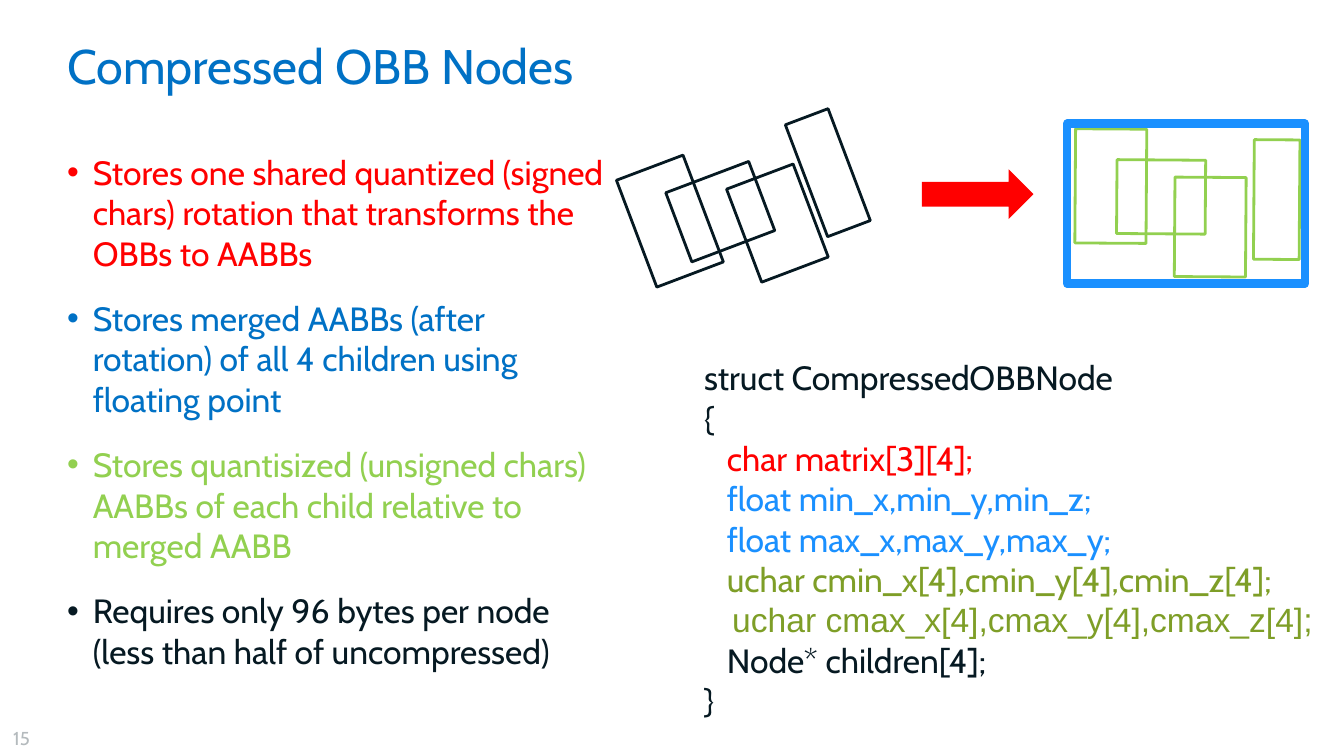
"""Build the slide that explains compressed OBB nodes."""
from dataclasses import dataclass
from typing import NamedTuple

from lxml.etree import SubElement
from pptx import Presentation
from pptx.dml.color import RGBColor
from pptx.enum.shapes import MSO_AUTO_SHAPE_TYPE as ShapeType
from pptx.enum.text import MSO_ANCHOR as Anchor
from pptx.oxml.ns import qn
from pptx.util import Emu, Pt

EMU_PER_PX = 9144
SLIDE_WIDTH = 1000
COLORS = {
    "title": "0071C5",
    "red": "FF0000",
    "blue": "1A90FF",
    "green": "92D050",
    "olive": "7E9E27",
    "ink": "061922",
    "gray": "B4BABD",
}


class Box(NamedTuple):
    left: int
    top: int
    width: int
    height: int


@dataclass(frozen=True)
class Line:
    text: str
    color: str
    size: int = 18
    font: str = "Cabin"
    indent: int = 0
    bullet: bool = False
    before: float = 0
    spacing: int = 0


@dataclass(frozen=True)
class Outline:
    box: Box
    color: str
    weight: float = 1.5
    rotation: float = 0


NODE_SIZES = [(53, 85), (66, 55), (53, 74), (34, 89)]
ORIENTED_CORNERS = [(472, 122), (503, 130), (552, 129), (599, 84)]
ALIGNED_CORNERS = [(800, 96), (831, 119), (874, 132), (933, 104)]
MERGED_BOX = Outline(Box(794, 92, 177, 119), "blue", 4.5)
ARROW_BOX = Box(709, 103, 37, 83)

TITLE = [Line("Compressed OBB Nodes", "title", size=26, spacing=26)]
POINTS = [
    ("Stores one shared quantized (signed chars) rotation that transforms the OBBs to AABBs", "red"),
    ("Stores merged AABBs (after rotation) of all 4 children using floating point", "title"),
    ("Stores quantisized (unsigned chars) AABBs of each child relative to merged AABB", "green"),
    ("Requires only 96 bytes per node\n(less than half of uncompressed)", "ink"),
]
BULLETS = [
    Line(text, color, indent=19, bullet=True, before=13.5 if index else 0)
    for index, (text, color) in enumerate(POINTS)
]
CODE = [
    Line("struct CompressedOBBNode", "ink"),
    Line("{", "ink"),
    Line("char matrix[3][4];", "red", indent=17),
    Line("float min_x,min_y,min_z;", "blue", indent=17),
    Line("float max_x,max_y,max_y;", "blue", indent=17),
    Line("uchar cmin_x[4],cmin_y[4],cmin_z[4];", "olive", indent=17),
    Line("uchar cmax_x[4],cmax_y[4],cmax_z[4];", "olive", font="Arial", indent=21),
    Line("Node* children[4];", "ink", indent=17),
    Line("}", "ink"),
]
PAGE_NUMBER = [Line("15", "gray", size=10)]


def px(length: int) -> Emu:
    """Turn a length in px into EMU."""
    return Emu(length * EMU_PER_PX)


def place(box: Box) -> list[Emu]:
    """Return the position and size of a box in EMU."""
    return [px(length) for length in box]


def color_of(name: str) -> RGBColor:
    """Look up a named colour."""
    return RGBColor.from_string(COLORS[name])


def fill_paragraph(paragraph, line: Line) -> None:
    """Write one line with its indent, bullet and font."""
    paragraph.space_before = Pt(line.before)
    if line.spacing:
        paragraph.line_spacing = Pt(line.spacing)
    properties = paragraph._p.get_or_add_pPr()
    properties.set("marL", str(px(line.indent)))
    properties.set("indent", str(px(-line.indent if line.bullet else 0)))
    if line.bullet:
        SubElement(properties, qn("a:buFont")).set("typeface", "Arial")
        SubElement(properties, qn("a:buChar")).set("char", "•")
    for index, part in enumerate(line.text.split("\n")):
        if index:
            paragraph.add_line_break()
        run = paragraph.add_run()
        run.text = part
        run.font.name = line.font
        run.font.size = Pt(line.size)
        run.font.color.rgb = color_of(line.color)


def add_text(slide, box: Box, lines: list[Line], inset: bool = True, wrap: bool = True) -> None:
    """Add a text box that holds the given lines."""
    frame = slide.shapes.add_textbox(*place(box)).text_frame
    frame.word_wrap = wrap
    frame.vertical_anchor = Anchor.TOP
    if not inset:
        frame.margin_left = frame.margin_right = frame.margin_top = frame.margin_bottom = 0
    for index, line in enumerate(lines):
        fill_paragraph(frame.add_paragraph() if index else frame.paragraphs[0], line)


def add_outline(shapes, outline: Outline) -> None:
    """Add an unfilled rectangle."""
    shape = shapes.add_shape(ShapeType.RECTANGLE, *place(outline.box))
    shape.shadow.inherit = False
    shape.rotation = outline.rotation
    shape.fill.background()
    shape.line.color.rgb = color_of(outline.color)
    shape.line.width = Pt(outline.weight)


def add_nodes(slide, corners: list[tuple[int, int]], color: str, rotation: float) -> None:
    """Add the four child boxes as one group."""
    group = slide.shapes.add_group_shape()
    for corner, size in zip(corners, NODE_SIZES):
        add_outline(group.shapes, Outline(Box(*corner, *size), color, rotation=rotation))


def add_arrow(slide, box: Box) -> None:
    """Add the red block arrow that points right."""
    arrow = slide.shapes.add_shape(ShapeType.DOWN_ARROW, *place(box))
    arrow.shadow.inherit = False
    arrow.rotation = 270
    arrow.fill.solid()
    arrow.fill.fore_color.rgb = color_of("red")
    arrow.line.fill.background()


def main() -> None:
    """Build and save the presentation."""
    presentation = Presentation()
    presentation.slide_width = px(SLIDE_WIDTH)
    presentation.slide_height = Emu(px(SLIDE_WIDTH) * 9 // 16)
    slide = presentation.slides.add_slide(presentation.slide_layouts[6])
    add_text(slide, Box(0, 536, 39, 27), PAGE_NUMBER, wrap=False)
    add_text(slide, Box(50, 34, 900, 73), TITLE, inset=False)
    add_text(slide, Box(50, 113, 401, 409), BULLETS, inset=False)
    add_nodes(slide, ORIENTED_CORNERS, "ink", 339.3)
    add_arrow(slide, ARROW_BOX)
    add_nodes(slide, ALIGNED_CORNERS, "green", 0.4)
    add_outline(slide.shapes, MERGED_BOX)
    add_text(slide, Box(514, 261, 474, 283), CODE)
    presentation.save("out.pptx")


if __name__ == "__main__":
    main()
